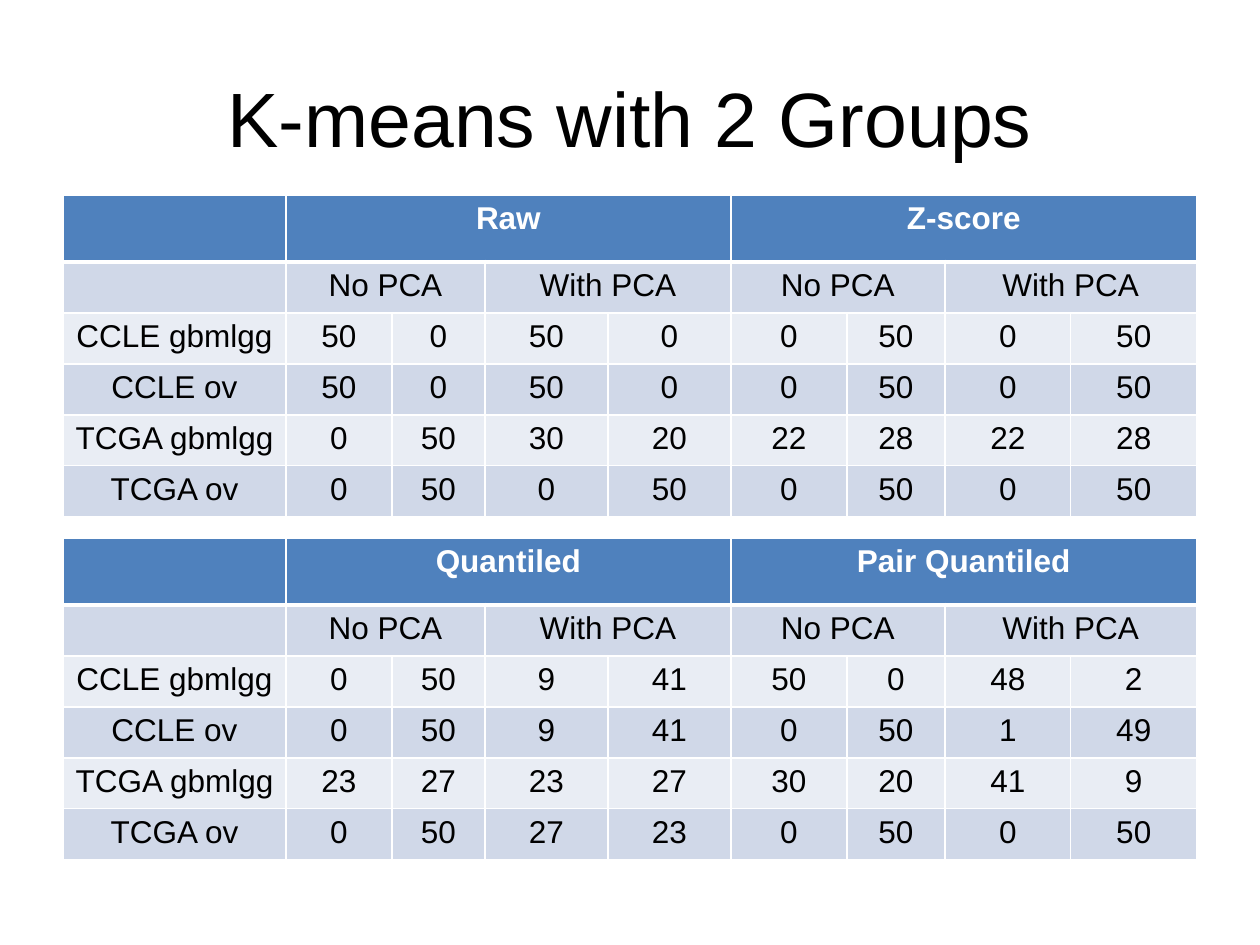
"""Build a slide with two tables of K-means group counts."""
import dataclasses
import typing

import lxml.etree
import pptx
import pptx.dml.color
import pptx.enum.text
import pptx.oxml.ns
import pptx.util

SCALE = 914400 // 126
WHITE, BLACK, BLUE = "FFFFFF", "000000", "4F81BD"
BANDS = ("D0D8E8", "E9EDF4")
WIDTHS = (223, 106, 93, 123, 123, 116, 98, 126, 126)
HEIGHTS = (67, 51, 51, 51, 24, 51)
NAMES = ("CCLE gbmlgg", "CCLE ov", "TCGA gbmlgg", "TCGA ov")


@dataclasses.dataclass(frozen=True)
class Grid:
    top: int
    heads: tuple[str, str]
    counts: tuple[tuple[int, ...], ...]


GRIDS = (
    Grid(195, ("Raw", "Z-score"), (
        (50, 0, 50, 0, 0, 50, 0, 50),
        (50, 0, 50, 0, 0, 50, 0, 50),
        (0, 50, 30, 20, 22, 28, 22, 28),
        (0, 50, 0, 50, 0, 50, 0, 50),
    )),
    Grid(538, ("Quantiled", "Pair Quantiled"), (
        (0, 50, 9, 41, 50, 0, 48, 2),
        (0, 50, 9, 41, 0, 50, 1, 49),
        (23, 27, 23, 27, 30, 20, 41, 9),
        (0, 50, 27, 23, 0, 50, 0, 50),
    )),
)


def px(size: int) -> pptx.util.Emu:
    return pptx.util.Emu(size * SCALE)


def color(code: str) -> pptx.dml.color.RGBColor:
    return pptx.dml.color.RGBColor.from_string(code)


def write(frame: typing.Any, text: str, *, size: int = 18,
          ink: str = BLACK, bold: bool = False) -> None:
    line = frame.paragraphs[0]
    line.alignment = pptx.enum.text.PP_ALIGN.CENTER
    run = line.add_run()
    run.text = text
    run.font.name = "Arial"
    run.font.size = pptx.util.Pt(size)
    run.font.bold = bold
    run.font.color.rgb = color(ink)


def paint(cell: typing.Any, row: int) -> None:
    props = cell._tc.get_or_add_tcPr()
    for side in "LRTB":
        thick = (row, side) in ((0, "B"), (1, "T"))
        edge = lxml.etree.SubElement(props, pptx.oxml.ns.qn(f"a:ln{side}"))
        edge.set("w", str(pptx.util.Pt(3 if thick else 1)))
        fill = lxml.etree.SubElement(edge, pptx.oxml.ns.qn("a:solidFill"))
        tint = lxml.etree.SubElement(fill, pptx.oxml.ns.qn("a:srgbClr"))
        tint.set("val", WHITE)
    cell.fill.solid()
    cell.fill.fore_color.rgb = color(BANDS[(row - 1) % 2] if row else BLUE)


def draw(slide: typing.Any, grid: Grid) -> None:
    frame = slide.shapes.add_table(
        len(HEIGHTS), len(WIDTHS), px(63), px(grid.top), px(sum(WIDTHS)), px(323))
    table = frame.table
    for col, width in zip(table.columns, WIDTHS):
        col.width = px(width)
    for row, height in zip(table.rows, HEIGHTS):
        row.height = px(height)
    frame.height = px(323)
    for row in range(len(HEIGHTS)):
        for col in range(len(WIDTHS)):
            paint(table.cell(row, col), row)
    for row, span, heads in ((0, 4, grid.heads), (1, 2, ("No PCA", "With PCA") * 2)):
        for spot, head in enumerate(heads):
            col = 1 + spot * span
            cell = table.cell(row, col)
            cell.merge(table.cell(row, col + span - 1))
            write(cell.text_frame, head, ink=BLACK if row else WHITE, bold=row == 0)
    for row, (name, counts) in enumerate(zip(NAMES, grid.counts), 2):
        for col, item in enumerate((name, *counts)):
            write(table.cell(row, col).text_frame, str(item))


def main() -> None:
    deck = pptx.Presentation()
    deck.slide_width, deck.slide_height = px(1260), px(945)
    slide = deck.slides.add_slide(deck.slide_layouts[6])
    title = slide.shapes.add_textbox(px(63), px(38), px(1134), px(157)).text_frame
    title.word_wrap = True
    title.vertical_anchor = pptx.enum.text.MSO_ANCHOR.MIDDLE
    write(title, "K-means with 2 Groups", size=44)
    for grid in GRIDS:
        draw(slide, grid)
    deck.save("out.pptx")


if __name__ == "__main__":
    main()
